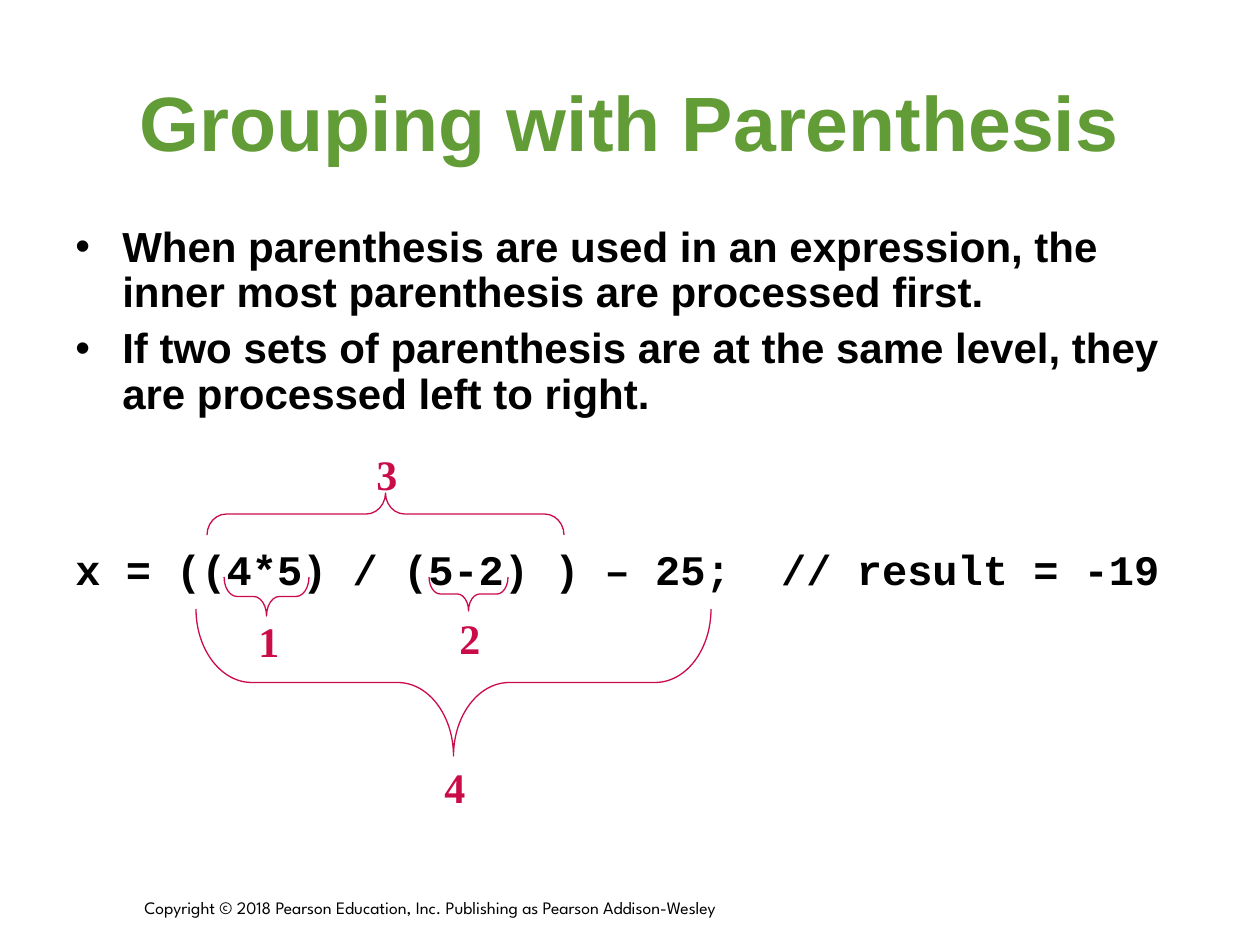
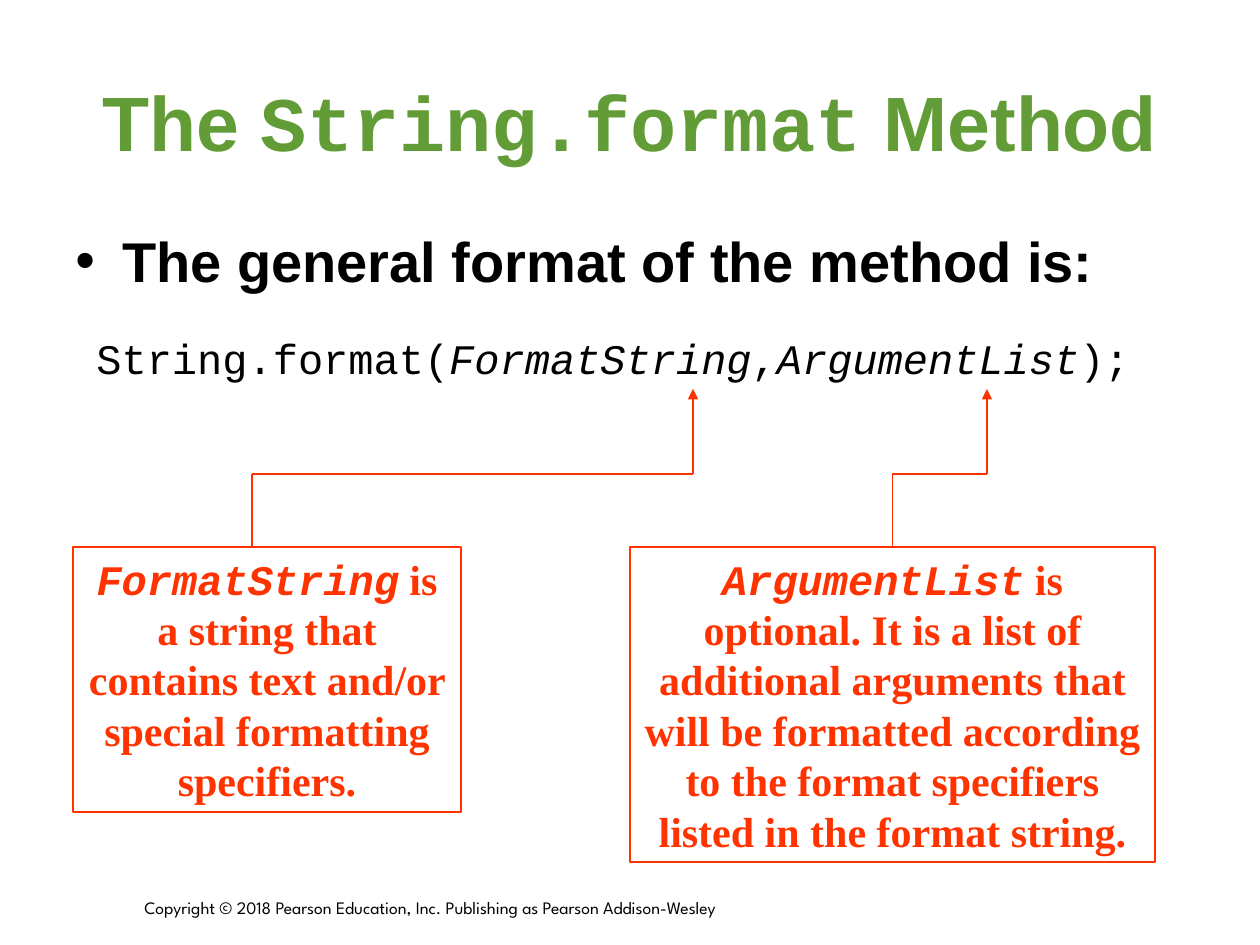
"""Build two Java slides: grouping with parenthesis and the String.format method."""
import pptx
import pptx.util
import pptx.dml.color
import pptx.enum.shapes
import pptx.enum.text
import pptx.oxml.ns
import lxml.etree

SCALE = 914400 / 126
GREEN, BLACK, CRIMSON, RED = "629C36", "000000", "CA0C48", "FF3300"
SANS, MONO, SERIF, FOOT = "Arial", "Courier New", "Times New Roman", "League Spartan"
ALIGN = pptx.enum.text.PP_ALIGN
ANCHOR = pptx.enum.text.MSO_ANCHOR
SHAPE = pptx.enum.shapes.MSO_SHAPE

COPY = "Copyright © 2018 Pearson Education, Inc. Publishing as Pearson Addison-Wesley"
TITLES = [
    [("Grouping with Parenthesis", SANS, "b")],
    [("The ", SANS, "b"), ("String.format", MONO, "b"), (" Method", SANS, "b")],
]
RULES = [
    "When parenthesis are used in an expression, the inner most parenthesis are processed first.",
    "If two sets of parenthesis are at the same level, they are processed left to right.",
]
SUM = "x = ((4*5) / (5-2) ) – 25;  // result = -19"
BRACES = [
    ("1", (246, 609), (224, 577, 85, 39), 90, 0.33),
    ("2", (447, 606), (429, 577, 79, 34), 90, 0.33),
    ("3", (364, 442), (207, 493, 357, 42), 270, 0.46),
    ("4", (432, 755), (196, 609, 515, 147), 90, 0.38),
]
POINT = "The general format of the method is:"
CALL = [("String.format(", MONO, ""), ("FormatString", MONO, "i"), (",", MONO, ""),
        ("ArgumentList", MONO, "i"), (");", MONO, "")]
NOTES = [
    ("FormatString", " is a string that contains text and/or special formatting specifiers.",
     (73, 547, 388, 265), 252, 693),
    ("ArgumentList", " is optional. It is a list of additional arguments that will be formatted "
     "according to the format specifiers listed in the format string.",
     (630, 547, 525, 315), None, 987),
]
BEND, TIP = 474, 389


def px(num):
    return pptx.util.Emu(round(num * SCALE))


def hue(code):
    return pptx.dml.color.RGBColor.from_string(code)


def bullet(para):
    props = para._p.get_or_add_pPr()
    props.set("marL", str(px(47)))
    props.set("indent", str(px(-47)))
    tag = pptx.oxml.ns.qn
    color = lxml.etree.SubElement(props, tag("a:buClr"))
    lxml.etree.SubElement(color, tag("a:srgbClr")).set("val", BLACK)
    lxml.etree.SubElement(props, tag("a:buFont")).set("typeface", SANS)
    lxml.etree.SubElement(props, tag("a:buChar")).set("char", "•")


def fill(shape, paras, size, color, align=ALIGN.LEFT, anchor=ANCHOR.TOP,
         dots=False, lead=None, gap=0):
    frame = shape.text_frame
    frame.word_wrap = True
    frame.vertical_anchor = anchor
    for num, runs in enumerate(paras):
        para = frame.add_paragraph() if num else frame.paragraphs[0]
        if dots:
            bullet(para)
        para.alignment = align
        if lead:
            para.line_spacing = lead
        if num:
            para.space_before = pptx.util.Pt(gap)
        for text, face, style in runs:
            run = para.add_run()
            run.text = text
            run.font.name = face
            run.font.size = pptx.util.Pt(size)
            run.font.color.rgb = hue(color)
            run.font.bold = "b" in style
            run.font.italic = "i" in style


def write(slide, box, paras, size, color, **opts):
    fill(slide.shapes.add_textbox(*map(px, box)), paras, size, color, **opts)


def outline(slide, kind, box, color):
    shape = slide.shapes.add_shape(kind, *map(px, box))
    shape.shadow.inherit = False
    shape.fill.background()
    shape.line.color.rgb = hue(color)
    shape.line.width = pptx.util.Pt(0.75)
    return shape


def brace(slide, box, turn, curve):
    left, top, wide, high = box
    shift = (wide - high) / 2
    shape = outline(slide, SHAPE.RIGHT_BRACE, (left + shift, top - shift, high, wide), CRIMSON)
    shape.rotation = turn
    shape.adjustments[0] = curve
    shape.adjustments[1] = 0.5


def link(slide, start, end, arrow=False):
    kind = pptx.enum.shapes.MSO_CONNECTOR.STRAIGHT
    line = slide.shapes.add_connector(kind, *map(px, start + end))
    line.line.color.rgb = hue(RED)
    line.line.width = pptx.util.Pt(0.75)
    if arrow:
        tail = lxml.etree.SubElement(line.line._get_or_add_ln(), pptx.oxml.ns.qn("a:tailEnd"))
        tail.set("type", "triangle")
    lxml.etree.SubElement(line._element.spPr, pptx.oxml.ns.qn("a:effectLst"))
    return line


def base(deck, title):
    slide = deck.slides.add_slide(deck.slide_layouts[6])
    write(slide, (132, 882, 902, 42), [[(COPY, FOOT, "")]], 10, BLACK, anchor=ANCHOR.BOTTOM)
    write(slide, (63, 42, 1134, 158), [title], 44, GREEN,
          align=ALIGN.CENTER, anchor=ANCHOR.MIDDLE)
    return slide


def group(deck):
    slide = base(deck, TITLES[0])
    write(slide, (63, 220, 1134, 210), [[(rule, SANS, "b")] for rule in RULES], 24, BLACK,
          dots=True, lead=0.9, gap=6)
    write(slide, (63, 537, 1134, 60), [[(SUM, MONO, "b")]], 24, BLACK)
    for mark, spot, box, turn, curve in BRACES:
        brace(slide, box, turn, curve)
        write(slide, spot + (42, 63), [[(mark, SERIF, "b")]], 24, CRIMSON)


def method(deck):
    slide = base(deck, TITLES[1])
    write(slide, (63, 220, 1134, 100), [[(POINT, SANS, "b")]], 32, BLACK, dots=True)
    write(slide, (84, 326, 1071, 150), [CALL], 24, BLACK)
    for name, text, box, stem, goal in NOTES:
        note = outline(slide, SHAPE.RECTANGLE, box, RED)
        fill(note, [[(name, MONO, "bi"), (text, SERIF, "b")]], 24, RED, align=ALIGN.CENTER)
        left, top, wide, high = box
        root = stem or left + wide / 2
        rise = link(slide, (root, top), (root, BEND))
        if stem is None:
            rise.begin_connect(note, 0)
        link(slide, (root, BEND), (goal, BEND))
        link(slide, (goal, BEND), (goal, TIP), arrow=True)


def main():
    deck = pptx.Presentation()
    deck.slide_width, deck.slide_height = px(1260), px(945)
    group(deck)
    method(deck)
    deck.save("out.pptx")


if __name__ == "__main__":
    main()
